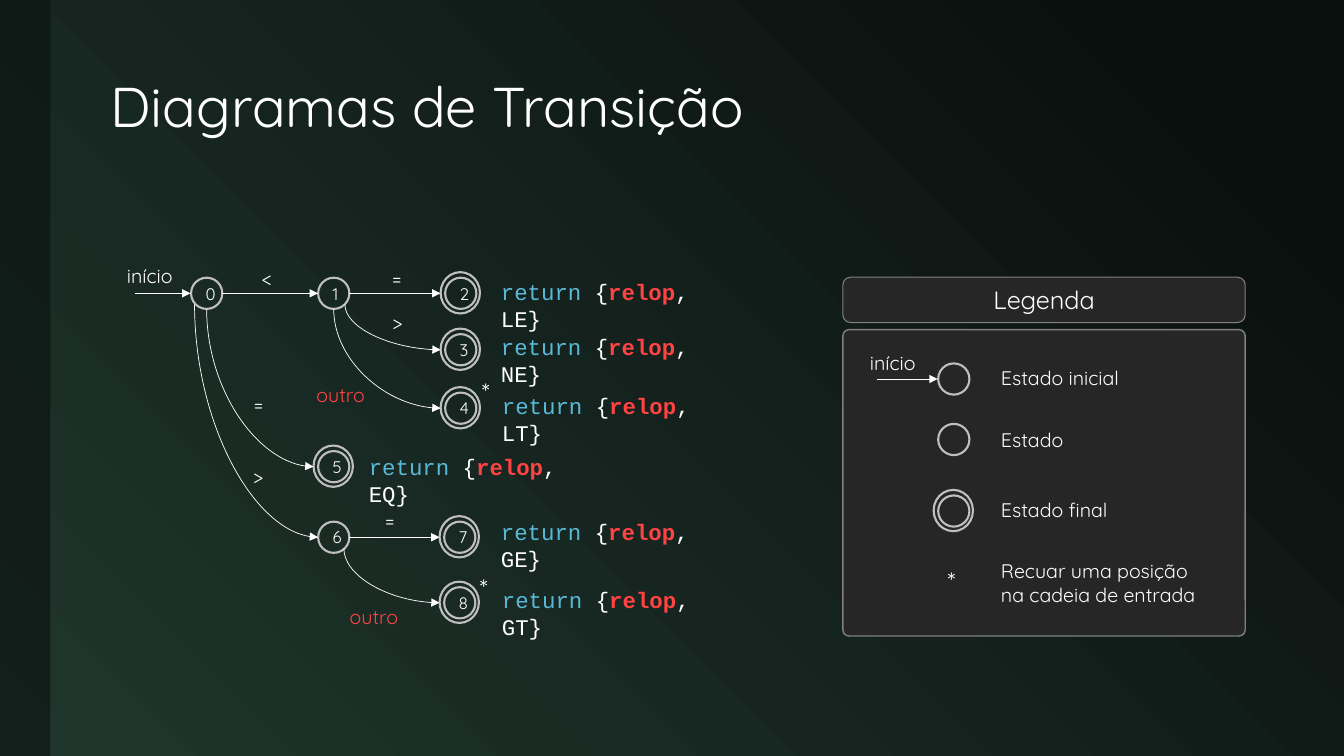
from dataclasses import dataclass
from lxml.etree import SubElement as Sub
from pptx import Presentation
from pptx.dml.color import RGBColor as Rgb
from pptx.enum.shapes import MSO_CONNECTOR as Link, MSO_SHAPE as Form
from pptx.enum.text import MSO_ANCHOR as Anchor, MSO_AUTO_SIZE as Auto, PP_ALIGN as Align
from pptx.oxml.ns import qn
from pptx.util import Inches, Pt


@dataclass(frozen=True)
class Theme:
    """Hold the colours, fonts and type sizes of the slide."""
    dark: str = "0A100E"
    green: str = "20362D"
    panel: str = "262626"
    edge: str = "808080"
    ring: str = "BFBFBF"
    white: str = "FFFFFF"
    red: str = "FF4343"
    blue: str = "59B9D8"
    sans: str = "Quicksand"
    mono: str = "Courier New"
    title: int = 40
    head: int = 18
    code: int = 16
    label: int = 14
    state: int = 12


T = Theme()
R = 0.155
STATES = {
    "0": (2.05, 2.91, False), "1": (3.31, 2.91, False), "2": (4.57, 2.91, True),
    "3": (4.57, 3.47, True), "4": (4.57, 4.05, True), "5": (3.31, 4.63, True),
    "6": (3.31, 5.33, False), "7": (4.56, 5.33, True), "8": (4.56, 5.98, True),
}
EDGES = [("0", "1"), ("1", "2"), ("6", "7")]
CURVES = [("1", "3", 0.11, 0.11), ("1", "4", 0, R), ("0", "5", 0, R),
          ("0", "6", -0.12, 0.11), ("6", "8", 0.1, 0.11)]
CODES = [("LE", 4.87, 2.71), ("NE", 4.87, 3.26), ("LT", 4.88, 3.84),
         ("EQ", 3.56, 4.45), ("GE", 4.87, 5.09), ("GT", 4.88, 5.77)]
LABELS = [("início", 1.16, 2.57), ("<", 2.5, 2.59), ("=", 3.79, 2.59), (">", 3.79, 3.03),
          ("=", 2.42, 3.84), (">", 2.41, 4.55), ("=", 3.72, 4.99)]
OTHERS = [(3.04, 3.75), (3.37, 5.95)]
STARS = [(4.66, 5.63), (4.68, 3.68)]
KEYS = [("Estado inicial", 3.58), ("Estado", 4.2), ("Estado final", 4.89),
        ("Recuar uma posição\nna cadeia de entrada", 5.5)]


def write(frame, text, size=T.label, font=T.sans, color=T.white, align=Align.LEFT,
          anchor=Anchor.TOP, wrap=False, space=None, grow=False):
    """Fill a text frame with a string or with (text, colour, bold) parts."""
    frame.word_wrap = wrap
    frame.vertical_anchor = anchor
    if grow:
        frame.auto_size = Auto.SHAPE_TO_FIT_TEXT
    para = frame.paragraphs[0]
    para.alignment = align
    para.line_spacing = space
    parts = [(text, color, False)] if isinstance(text, str) else text
    for words, tint, bold in parts:
        for i, line in enumerate(words.split("\n")):
            if i:
                para.add_line_break()
            run = para.add_run()
            run.text = line
            run.font.size, run.font.name, run.font.bold = Pt(size), font, bold
            run.font.color.rgb = Rgb.from_string(tint)


def label(group, text, x, y, w=0.7, h=0.34, grow=True, **form):
    """Add a text box."""
    box = group.add_textbox(*map(Inches, (x, y, w, h)))
    write(box.text_frame, text, grow=grow, **form)


def shape(group, kind, x, y, w, h, fill=None, line=None, width=1.0):
    """Add a flat preset shape."""
    item = group.add_shape(kind, *map(Inches, (x, y, w, h)))
    item.shadow.inherit = False
    if fill:
        item.fill.solid()
        item.fill.fore_color.rgb = Rgb.from_string(fill)
    else:
        item.fill.background()
    if line:
        item.line.color.rgb = Rgb.from_string(line)
        item.line.width = Pt(width)
    else:
        item.line.fill.background()
    return item


def state(group, x, y, final=False, name=""):
    """Add a state circle around a centre, doubled when it is final."""
    if final:
        shape(group, Form.OVAL, x - 0.2, y - 0.21, 0.39, 0.41, line=T.ring, width=1.5)
    ring = shape(group, Form.OVAL, x - R, y - R, 2 * R, 2 * R, line=T.ring, width=1.5)
    if name:
        write(ring.text_frame, name, size=T.state, align=Align.CENTER,
              anchor=Anchor.MIDDLE, wrap=True)


def arrow(group, x1, y1, x2, y2, kind=Link.STRAIGHT):
    """Add a thin connector with a head at its end."""
    link = group.add_connector(kind, *map(Inches, (x1, y1, x2, y2)))
    link.line.color.rgb = Rgb.from_string(T.white)
    link.line.width = Pt(0.5)
    Sub(link.line._get_or_add_ln(), qn("a:tailEnd"), type="triangle")
    Sub(link._element.spPr, qn("a:effectLst"))
    return link


def curve(group, x1, y1, x2, y2):
    """Add an arrow that leaves downward and arrives from the left."""
    cx, cy = (x1 + x2) / 2, (y1 + y2) / 2
    dx, dy = (x2 - x1) / 2, (y2 - y1) / 2
    link = arrow(group, cx + dy, cy - dx, cx - dy, cy + dx, Link.CURVE)
    prop = link._element.spPr
    prop.find(qn("a:xfrm")).set("rot", str(270 * 60000))
    prop.find(qn("a:prstGeom")).set("prst", "curvedConnector2")


def reach(name):
    """Return the distance from a state's centre to its outer edge."""
    return 0.2 if STATES[name][2] else R


def paint(slide):
    """Add the gradient background and the side strip."""
    fill = slide.background.fill
    fill.gradient()
    fill.gradient_angle = 225
    for stop, tint, spot in zip(fill.gradient_stops, (T.dark, T.green), (0.1, 1)):
        stop.color.rgb = Rgb.from_string(tint)
        stop.position = spot
    strip = shape(slide.shapes, Form.RECTANGLE, 0, 0, 0.5, 7.5, fill=T.dark)
    tone = strip._element.spPr.find(qn("a:solidFill"))[0]
    Sub(tone, qn("a:alpha"), val="60000")


def legend(slide):
    """Add the legend panel, its heading and its keys."""
    panel = shape(slide.shapes, Form.ROUNDED_RECTANGLE, 8.36, 3.27, 3.99, 3.04,
                  fill=T.panel, line=T.edge)
    panel.adjustments[0] = 0.02
    group = slide.shapes.add_group_shape().shapes
    for y, final in ((3.76, False), (4.36, False), (5.07, True)):
        state(group, 9.46, y, final)
    arrow(group, 8.7, 3.76, 9.3, 3.76)
    label(group, "início", 8.53, 3.43)
    label(group, "*", 9.3, 5.56, w=0.31, h=0.4, size=T.head)
    for text, y in KEYS:
        lines = text.count("\n")
        label(group, text, 9.83, y, w=2.43 if lines else 1.4, h=0.34 + 0.23 * lines)
    head = shape(slide.shapes, Form.ROUNDED_RECTANGLE, 8.36, 2.75, 3.99, 0.45,
                 fill=T.panel, line=T.edge, width=0.75)
    write(head.text_frame, "Legenda", size=T.head, align=Align.CENTER,
          anchor=Anchor.MIDDLE, wrap=True)


def diagram(slide):
    """Add the states, their transitions and the returned tokens."""
    group = slide.shapes.add_group_shape().shapes
    for code, x, y in CODES:
        parts = [("return", T.blue, False), (" {", T.white, False),
                 ("relop", T.red, True), (f", {code}}}", T.white, False)]
        label(group, parts, x, y, w=2.41, h=0.37, size=T.code, font=T.mono, wrap=True)
    for name, (x, y, final) in STATES.items():
        state(group, x, y, final, name)
    arrow(group, 1.34, 2.91, 1.89, 2.91)
    for a, b in EDGES:
        (x1, y, _), (x2, _, _) = STATES[a], STATES[b]
        arrow(group, x1 + reach(a), y, x2 - reach(b), y)
    for a, b, dx, dy in CURVES:
        (x1, y1, _), (x2, y2, _) = STATES[a], STATES[b]
        curve(group, x1 + dx, y1 + dy, x2 - reach(b), y2)
    for text, x, y in LABELS:
        label(group, text, x, y, w=0.69 if len(text) > 1 else 0.32)
    for x, y in OTHERS:
        label(group, "outro", x, y, color=T.red)
    for x, y in STARS:
        label(group, "*", x, y, w=0.31, h=0.4, size=T.head)


def main():
    """Build the slide and save it."""
    deck = Presentation()
    deck.slide_width, deck.slide_height = Inches(13.33), Inches(7.5)
    slide = deck.slides.add_slide(deck.slide_layouts[6])
    paint(slide)
    label(slide.shapes, "Diagramas de Transição", 1, 0.42, w=11.65, h=1.33, grow=False,
          size=T.title, anchor=Anchor.MIDDLE, wrap=True, space=0.9)
    legend(slide)
    diagram(slide)
    deck.save("out.pptx")


main()
